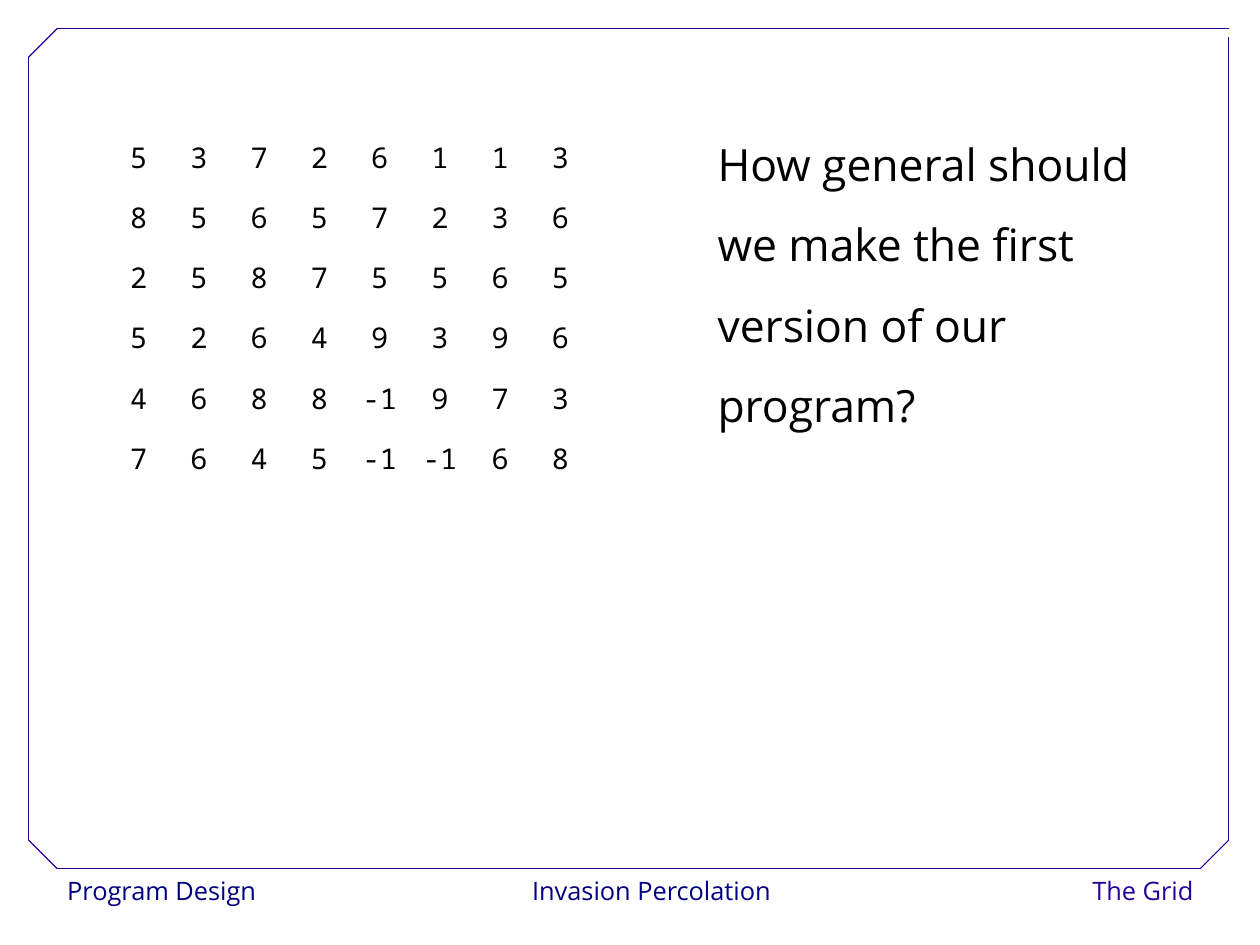
from dataclasses import dataclass

from lxml import etree
from pptx import Presentation
from pptx.dml.color import RGBColor
from pptx.enum.shapes import MSO_CONNECTOR, MSO_SHAPE
from pptx.enum.text import MSO_ANCHOR, MSO_AUTO_SIZE, PP_ALIGN
from pptx.oxml.ns import qn
from pptx.util import Inches, Pt

LEFT, CENTER, RIGHT = PP_ALIGN.LEFT, PP_ALIGN.CENTER, PP_ALIGN.RIGHT
TOP, MIDDLE = MSO_ANCHOR.TOP, MSO_ANCHOR.MIDDLE
FIT_SHAPE = MSO_AUTO_SIZE.SHAPE_TO_FIT_TEXT
RECTANGLE = MSO_SHAPE.RECTANGLE
STRAIGHT = MSO_CONNECTOR.STRAIGHT
CM_PER_INCH = 2.54


@dataclass(frozen=True)
class Theme:
    paper: RGBColor = RGBColor(0xFF, 0xFF, 0xFF)
    ink: RGBColor = RGBColor(0x00, 0x00, 0x00)
    navy: RGBColor = RGBColor(0x00, 0x00, 0x80)
    violet: RGBColor = RGBColor(0x28, 0x00, 0x99)
    sans: str = "Open Sans"
    mono: str = "Noto Sans Mono"
    footer_size: int = 16
    grid_size: int = 18
    question_size: int = 28
    frame_width: float = 0.75


def write(tf, text, *, font, size, color, align=LEFT, spacing=1.02):
    for i, line in enumerate(text.split("\n")):
        p = tf.paragraphs[0] if i == 0 else tf.add_paragraph()
        p.alignment = align
        p.line_spacing = spacing
        r = p.add_run()
        r.text = line
        r.font.name = font
        r.font.size = Pt(size)
        r.font.color.rgb = color


class SlideBuilder:
    def __init__(self, slide, theme):
        self.s = slide
        self.theme = theme
        slide.background.fill.solid()
        slide.background.fill.fore_color.rgb = theme.paper

    def footer(self, text, left, width, color, align):
        sp = self.s.shapes.add_shape(
            RECTANGLE, Inches(left), Inches(7.6), Inches(width), Inches(0.4))
        sp.shadow.inherit = False
        sp.fill.solid()
        sp.fill.fore_color.rgb = self.theme.paper
        sp.line.fill.background()
        tf = sp.text_frame
        tf.word_wrap = False
        tf.vertical_anchor = TOP
        write(tf, text, font=self.theme.sans, size=self.theme.footer_size,
              color=color, align=align)

    def line(self, start, end):
        cn = self.s.shapes.add_connector(
            STRAIGHT, *(Inches(v) for v in (*start, *end)))
        cn.line.color.rgb = self.theme.violet
        cn.line.width = Pt(self.theme.frame_width)
        etree.SubElement(cn._element.spPr, qn("a:effectLst"))

    def question(self, text, left, top, width, height):
        sp = self.s.shapes.add_textbox(
            Inches(left), Inches(top), Inches(width), Inches(height))
        tf = sp.text_frame
        tf.word_wrap = False
        tf.auto_size = FIT_SHAPE
        write(tf, text, font=self.theme.sans, size=self.theme.question_size,
              color=self.theme.ink, spacing=1.5)

    def grid(self, rows, left, top, width, height):
        table = self.s.shapes.add_table(
            len(rows), len(rows[0]), Inches(left), Inches(top),
            Inches(width), Inches(height)).table
        table.first_row = False
        table.horz_banding = False
        for i, row in enumerate(rows):
            for j, value in enumerate(row):
                cell = table.cell(i, j)
                cell.fill.background()
                cell.vertical_anchor = MIDDLE
                write(cell.text_frame, str(value), font=self.theme.mono,
                      size=self.theme.grid_size, color=self.theme.ink,
                      align=CENTER)


FRAME_LINES = [
    ((0.5, 7.6), (10.5, 7.6)),
    ((0.25, 7.35), (0.25, 0.5)),
    ((0.5, 0.25), (10.75, 0.25)),
    ((10.75, 7.35), (10.75, 0.32)),
    ((0.25, 0.5), (0.5, 0.25)),
    ((10.5, 7.6), (10.75, 7.35)),
    ((0.25, 7.35), (0.5, 7.6)),
]

GRID_VALUES = [
    [5, 3, 7, 2, 6, 1, 1, 3],
    [8, 5, 6, 5, 7, 2, 3, 6],
    [2, 5, 8, 7, 5, 5, 6, 5],
    [5, 2, 6, 4, 9, 3, 9, 6],
    [4, 6, 8, 8, -1, 9, 7, 3],
    [7, 6, 4, 5, -1, -1, 6, 8],
]

QUESTION = "How general should\nwe make the first\nversion of our\nprogram?"


def main():
    prs = Presentation()
    prs.slide_width = Inches(28 / CM_PER_INCH)
    prs.slide_height = Inches(21 / CM_PER_INCH)
    theme = Theme()
    builder = SlideBuilder(prs.slides.add_slide(prs.slide_layouts[6]), theme)

    builder.footer("Program Design", 0.49, 1.8, theme.navy, LEFT)
    builder.footer("Invasion Percolation", 4.58, 2.24, theme.navy, CENTER)
    builder.footer("The Grid", 9.14, 1.4, theme.violet, RIGHT)
    for start, end in FRAME_LINES:
        builder.line(start, end)
    builder.question(QUESTION, 6.18, 0.92, 3.86, 2.9)
    builder.grid(GRID_VALUES, 0.95, 1.11, 4.22, 3.16)

    prs.save("out.pptx")


if __name__ == "__main__":
    main()
